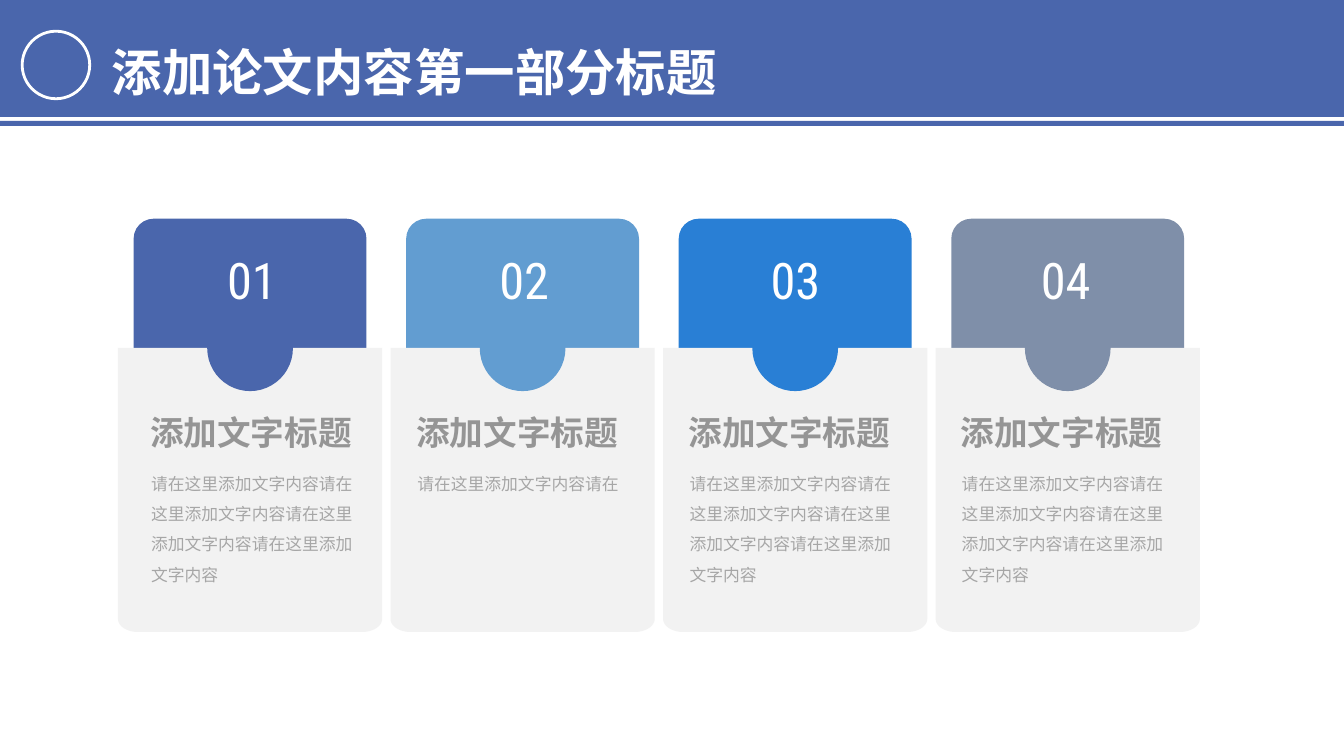
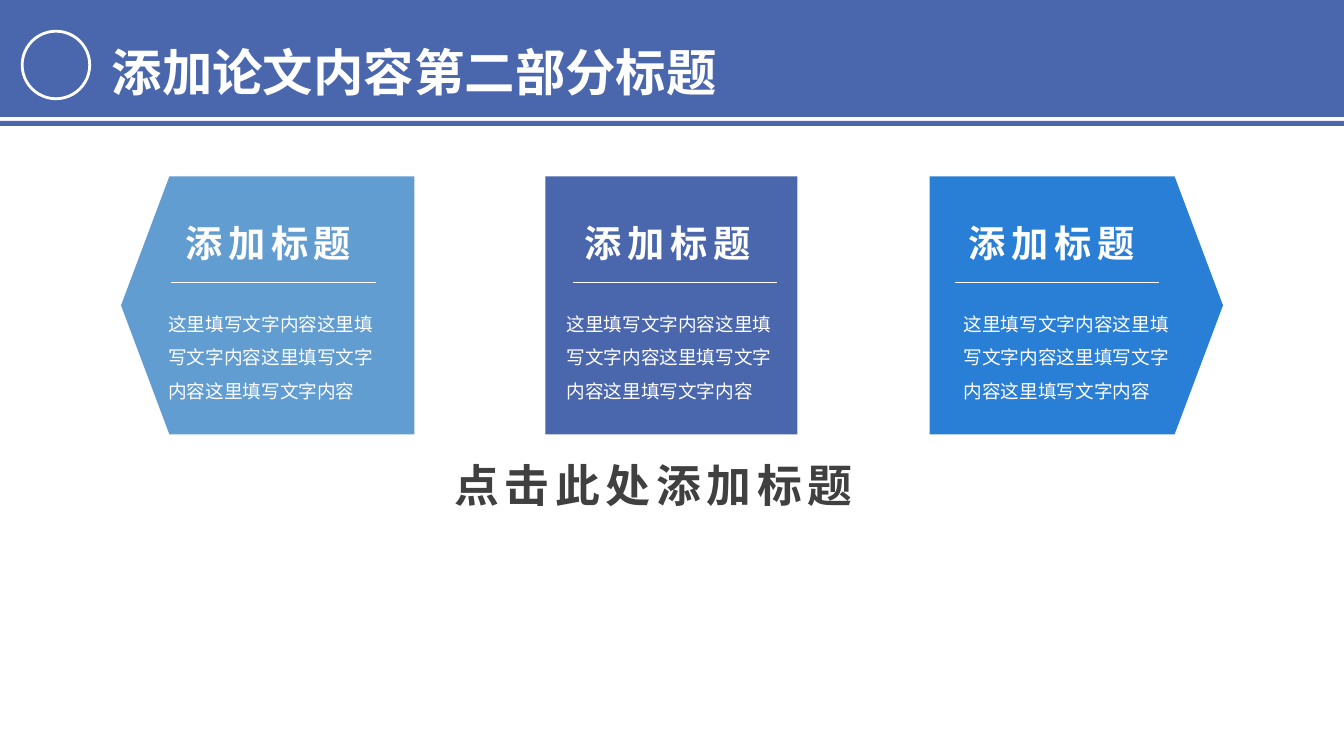
from math import cos, pi, sin

from lxml.etree import SubElement
from pptx import Presentation
from pptx.dml.color import RGBColor
from pptx.enum.shapes import MSO_CONNECTOR, MSO_SHAPE
from pptx.enum.text import MSO_ANCHOR, MSO_AUTO_SIZE, PP_ALIGN
from pptx.oxml.ns import qn
from pptx.util import Inches, Pt

COLORS = {
    "navy": "4A66AC", "sky": "629DD1", "blue": "297FD5", "slate": "7F8FA9",
    "white": "FFFFFF", "panel": "F2F2F2", "heading": "959595",
    "body": "A6A6A6", "dark": "404040",
}
CHINESE_FONT = "Noto Sans CJK SC"
NUMBER_FONT = "Roboto Condensed"
SLIDE_WIDTH, SLIDE_HEIGHT = 13.33, 7.5

CARD_TITLE = "添加文字标题"
CARD_BODY = "请在这里添加文字内容" * 4
CARDS = [  # number, color, body, number centre, text left
    ("01", "navy", CARD_BODY, 2.5, 1.4),
    ("02", "sky", "请在这里添加文字内容请在", 5.2, 4.04),
    ("03", "blue", CARD_BODY, 7.89, 6.74),
    ("04", "slate", CARD_BODY, 10.57, 9.44),
]
CARD_LEFT, LAST_CARD_LEFT, CARD_TOP = 1.17, 9.28, 3.45
CARD_WIDTH, CARD_HEIGHT = 2.62, 2.82
TAB_WIDTH, KNOB_SIZE = 2.31, 0.85

BLOCK_TITLE = "添加标题"
BLOCK_BODY = "这里填写文字内容" * 4
BLOCK_TOP, BLOCK_BOTTOM, BLOCK_TIP = 1.75, 4.31, 3.03
BLOCKS = [  # color, flat side, pointed side, tip, rule left, title left, body left
    ("sky", 4.11, 1.68, 1.2, 1.7, 1.74, 1.57),
    ("navy", 5.41, 7.91, 7.91, 5.68, 5.7, 5.52),
    ("blue", 9.22, 11.65, 12.13, 9.47, 9.51, 9.46),
]
RULE_WIDTH, RULE_TOP = 2.03, 2.8


def rgb(color):
    return RGBColor.from_string(COLORS[color])


def paint(shape, color, outline=None):
    shape.shadow.inherit = False
    shape.fill.solid()
    shape.fill.fore_color.rgb = rgb(color)
    if outline:
        shape.line.color.rgb = rgb(outline)
        shape.line.width = Pt(2)
    else:
        shape.line.fill.background()


def add_preset(slide, preset, box, color, outline=None):
    shape = slide.shapes.add_shape(preset, *map(Inches, box))
    paint(shape, color, outline)
    return shape


def add_outline(slide, points, color):
    corners = [(Inches(x), Inches(y)) for x, y in points]
    builder = slide.shapes.build_freeform(*corners[0])
    builder.add_line_segments(corners[1:], close=True)
    paint(builder.convert_to_shape(), color)


def add_rule(slide, left, top, width):
    rule = slide.shapes.add_connector(
        MSO_CONNECTOR.STRAIGHT,
        Inches(left), Inches(top), Inches(left + width), Inches(top))
    rule.line.color.rgb = rgb("white")
    rule.line.width = Pt(0.5)
    SubElement(rule._element.spPr, qn("a:effectLst"))


def add_text(slide, text, box, *, size, color="white", font=CHINESE_FONT,
             bold=False, align=None, anchor=MSO_ANCHOR.TOP, wrap=True, grow=True,
             line_spacing=None, space_before=None, tracking=None, margins=None):
    frame = slide.shapes.add_textbox(*map(Inches, box)).text_frame
    frame.word_wrap = wrap
    frame.vertical_anchor = anchor
    frame.auto_size = MSO_AUTO_SIZE.SHAPE_TO_FIT_TEXT if grow else MSO_AUTO_SIZE.NONE
    if margins:
        frame.margin_left = frame.margin_right = Inches(margins[0])
        frame.margin_top = frame.margin_bottom = Inches(margins[1])
    paragraph = frame.paragraphs[0]
    paragraph.alignment = align
    paragraph.line_spacing = line_spacing
    if space_before:
        paragraph.space_before = Pt(space_before)
    run = paragraph.add_run()
    run.text = text
    run.font.size = Pt(size)
    run.font.bold = bold
    run.font.name = font
    run.font.color.rgb = rgb(color)
    properties = run.font._element
    SubElement(properties, qn("a:ea")).set("typeface", font)
    if tracking:
        properties.set("spc", str(tracking * 100))


def add_titled_slide(presentation, title):
    slide = presentation.slides.add_slide(presentation.slide_layouts[6])
    for top, height in ((0, 1.16), (1.2, 0.05)):
        add_preset(slide, MSO_SHAPE.RECTANGLE, (0, top, SLIDE_WIDTH, height), "navy")
    add_preset(slide, MSO_SHAPE.OVAL, (0.22, 0.31, 0.67, 0.67), "navy", "white")
    add_text(slide, title, (1.01, 0.06, 6.24, 1.01), size=36, bold=True,
             line_spacing=1.5)
    return slide


def panel_points(left, top, width, height, radius_x=0.2, radius_y=0.13, steps=12):
    """Return the outline of a panel with square top and rounded bottom corners."""
    right, bottom = left + width, top + height
    points = [(left, top), (right, top)]
    for center_x, start in ((right - radius_x, 0), (left + radius_x, pi / 2)):
        for step in range(steps + 1):
            angle = start + pi / 2 * step / steps
            points.append((center_x + radius_x * cos(angle),
                           bottom - radius_y + radius_y * sin(angle)))
    return points


def add_card(slide, left, number, color, body, number_center, text_left):
    center = left + CARD_WIDTH / 2
    tab = add_preset(slide, MSO_SHAPE.ROUNDED_RECTANGLE,
                     (center - TAB_WIDTH / 2, 2.17, TAB_WIDTH, 2.13), color)
    tab.adjustments[0] = 0.093
    add_outline(slide, panel_points(left, CARD_TOP, CARD_WIDTH, CARD_HEIGHT), "panel")
    add_preset(slide, MSO_SHAPE.OVAL,
               (center - KNOB_SIZE / 2, 3.03, KNOB_SIZE, KNOB_SIZE), color)
    add_text(slide, number, (number_center - 0.6, 2.43, 1.2, 0.88), size=36,
             font=NUMBER_FONT, align=PP_ALIGN.CENTER, margins=(0.07, 0.04))
    add_text(slide, body, (text_left, 4.55, 2.21, 0.87), size=12, color="body",
             line_spacing=1.5, space_before=2.4, grow=False)
    add_text(slide, CARD_TITLE, (text_left - 0.01, 4, 2.33, 0.58), size=24,
             color="heading", bold=True, anchor=MSO_ANCHOR.MIDDLE, grow=False)


def add_block(slide, color, flat, pointed, tip, rule_left, title_left, body_left):
    if tip == pointed:
        add_preset(slide, MSO_SHAPE.RECTANGLE,
                   (flat, BLOCK_TOP, pointed - flat, BLOCK_BOTTOM - BLOCK_TOP), color)
    else:
        add_outline(slide, [(pointed, BLOCK_BOTTOM), (flat, BLOCK_BOTTOM),
                            (flat, BLOCK_TOP), (pointed, BLOCK_TOP),
                            (tip, BLOCK_TIP)], color)
    add_rule(slide, rule_left, RULE_TOP, RULE_WIDTH)
    add_text(slide, BLOCK_TITLE, (title_left, 2.14, 1.92, 0.55), size=26.6,
             bold=True, wrap=False, tracking=4)
    add_text(slide, BLOCK_BODY, (body_left, 2.94, 2.29, 1.11), size=13.3,
             line_spacing=1.5)


def main():
    presentation = Presentation()
    presentation.slide_width = Inches(SLIDE_WIDTH)
    presentation.slide_height = Inches(SLIDE_HEIGHT)

    slide = add_titled_slide(presentation, "添加论文内容第一部分标题")
    pitch = (LAST_CARD_LEFT - CARD_LEFT) / (len(CARDS) - 1)
    for index, card in enumerate(CARDS):
        add_card(slide, CARD_LEFT + index * pitch, *card)

    slide = add_titled_slide(presentation, "添加论文内容第二部分标题")
    for block in BLOCKS:
        add_block(slide, *block)
    add_text(slide, "点击此处添加标题", (4.41, 4.49, 4.24, 0.64), size=32,
             color="dark", bold=True, wrap=False, tracking=4)

    presentation.save("out.pptx")


if __name__ == "__main__":
    main()
